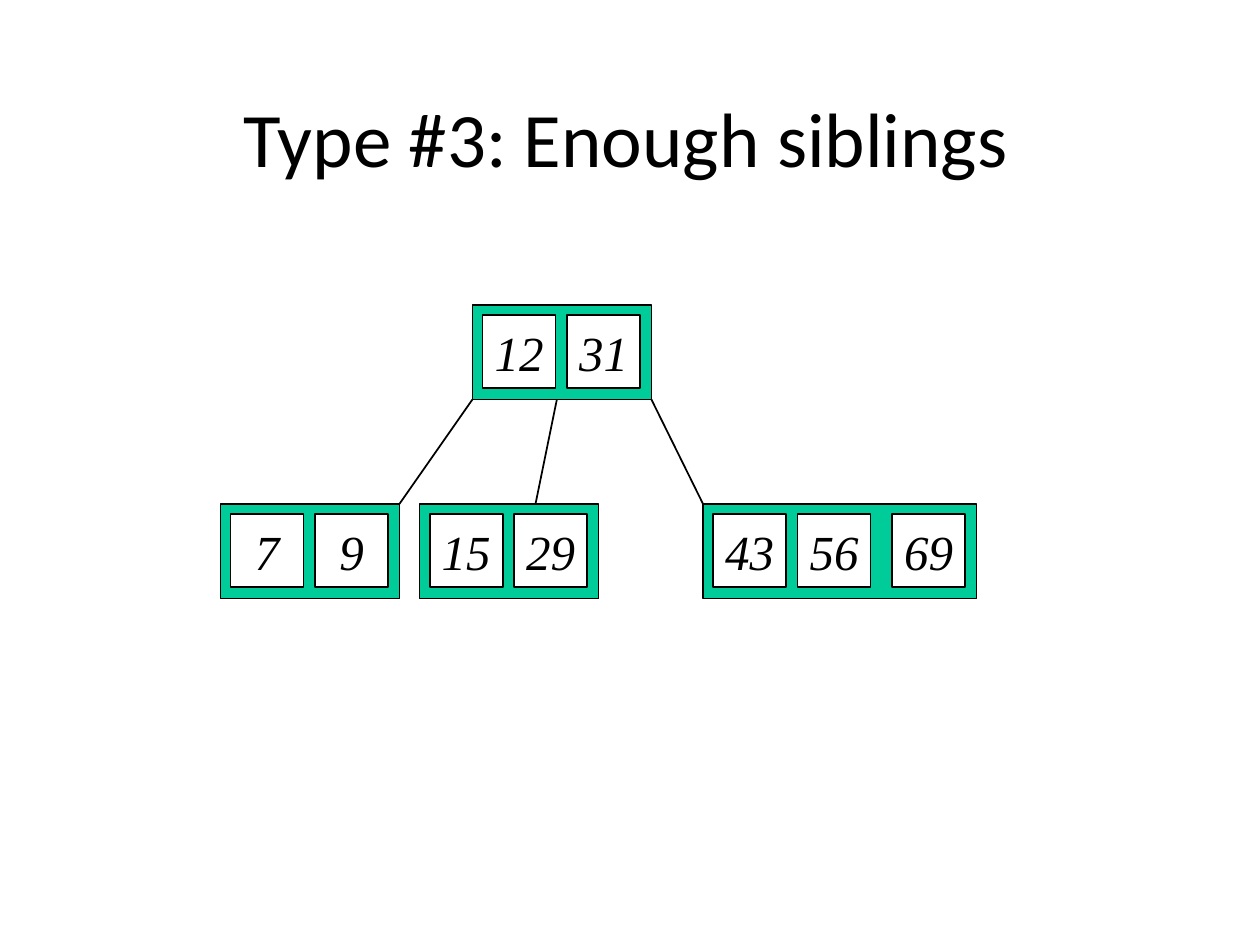
from dataclasses import dataclass
from pptx import Presentation
from pptx.dml.color import RGBColor as Color
from pptx.enum.shapes import MSO_CONNECTOR as Link, MSO_SHAPE as Shape
from pptx.enum.text import MSO_ANCHOR as Anchor, PP_ALIGN as Align
from pptx.util import Inches, Pt
from lxml import etree


@dataclass(frozen=True)
class Theme:
    ink: Color = Color(0, 0, 0)
    paper: Color = Color(255, 255, 255)
    green: Color = Color(0, 204, 153)
    rule: Pt = Pt(1)
    title: tuple = (("name", "Calibri"), ("size", Pt(44)))
    key: tuple = (("name", "Times New Roman"), ("size", Pt(28)), ("italic", True))


THEME = Theme()
PAD, CELL = 0.08, 0.58
STEPS = (PAD, 0.75, 1.5)
NODE_H = 0.75
ROOT = (3.75, 2.42, 1.42, NODE_H)
LEAVES = (
    ((1.75, 4, 1.42, NODE_H), ("7", "9")),
    ((3.33, 4, 1.42, NODE_H), ("15", "29")),
    ((5.58, 4, 2.17, NODE_H), ("43", "56", "69")),
)


def write(frame, text, style, anchor, wrap):
    frame.word_wrap = wrap
    frame.vertical_anchor = anchor
    para = frame.paragraphs[0]
    para.alignment = Align.CENTER
    run = para.add_run()
    run.text = text
    for name, value in style:
        setattr(run.font, name, value)
    run.font.color.rgb = THEME.ink


def add_title(slide, box, text):
    shape = slide.shapes.add_textbox(*map(Inches, box))
    write(shape.text_frame, text, THEME.title, Anchor.BOTTOM, True)


def add_rect(slide, box, fill):
    rect = slide.shapes.add_shape(Shape.RECTANGLE, *map(Inches, box))
    rect.shadow.inherit = False
    rect.fill.solid()
    rect.fill.fore_color.rgb = fill
    rect.line.color.rgb = THEME.ink
    rect.line.width = THEME.rule
    return rect


def add_node(slide, box, keys):
    left, top, _, _ = box
    add_rect(slide, box, THEME.green)
    for step, key in zip(STEPS, keys):
        cell = add_rect(slide, (left + step, top + PAD, CELL, CELL), THEME.paper)
        write(cell.text_frame, key, THEME.key, Anchor.MIDDLE, False)


def add_edge(slide, start, end):
    edge = slide.shapes.add_connector(Link.STRAIGHT, *map(Inches, start + end))
    edge.line.color.rgb = THEME.ink
    edge.line.width = THEME.rule
    props = edge._element.spPr
    etree.SubElement(props, "{http://schemas.openxmlformats.org/drawingml/2006/main}effectLst")


def add_tree(slide, root, keys, leaves):
    left, top, width, height = root
    add_node(slide, root, keys)
    for box, names in leaves:
        add_node(slide, box, names)
    first, mid, last = (box for box, _ in leaves)
    starts = (left, left + 0.67, left + width)
    ends = (first[0] + first[2], mid[0] + 0.92, last[0])
    for start, end in zip(starts, ends):
        add_edge(slide, (start, top + height), (end, first[1]))


def main():
    deck = Presentation()
    deck.slide_width, deck.slide_height = Inches(10), Inches(7.5)
    slide = deck.slides.add_slide(deck.slide_layouts[6])
    add_title(slide, (0.44, 0.25, 9.06, 1.25), "Type #3: Enough siblings")
    add_tree(slide, ROOT, ("12", "31"), LEAVES)
    deck.save("out.pptx")


if __name__ == "__main__":
    main()
